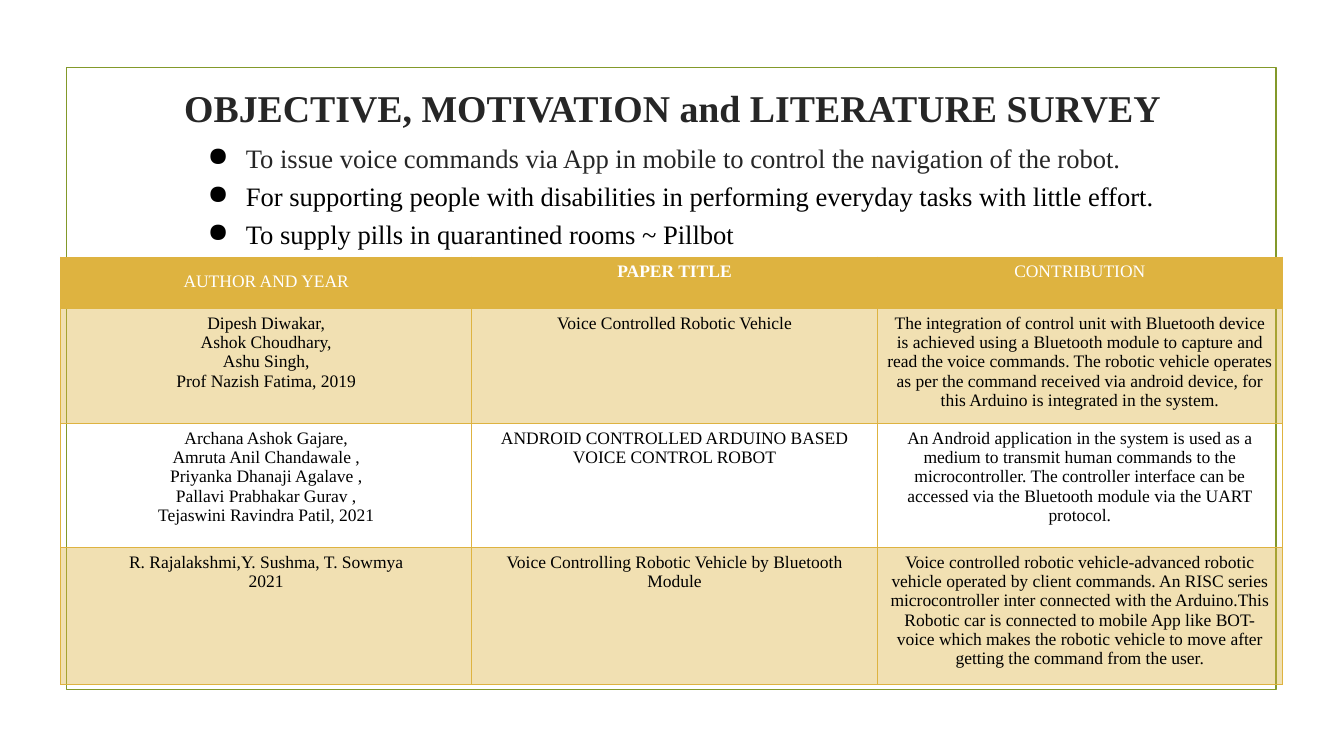
from lxml import etree
from pptx import Presentation
from pptx.dml.color import RGBColor
from pptx.enum.shapes import MSO_SHAPE
from pptx.enum.text import MSO_ANCHOR, MSO_AUTO_SIZE, PP_ALIGN
from pptx.oxml.ns import qn
from pptx.util import Pt

PX = 9144
FONT = "Times New Roman"
GREEN = RGBColor(0x83, 0x99, 0x2A)
GOLD = RGBColor(0xDE, 0xB3, 0x40)
DARK = RGBColor(0x26, 0x26, 0x26)
BLACK = RGBColor(0, 0, 0)
WHITE = RGBColor(255, 255, 255)
RECT = MSO_SHAPE.RECTANGLE
MIDDLE = MSO_ANCHOR.MIDDLE
FIXED = MSO_AUTO_SIZE.NONE
CENTER = PP_ALIGN.CENTER
JUSTIFY = PP_ALIGN.JUSTIFY

TITLE = "OBJECTIVE, MOTIVATION and LITERATURE SURVEY"
GOALS = [
    ("To issue voice commands via App in mobile to control the navigation of the robot.", DARK),
    ("For supporting people with disabilities in performing everyday tasks with little effort.", BLACK),
    ("To supply pills in quarantined rooms ~ Pillbot", BLACK),
]
COLS = [408, 402, 402]
ROWS = [51, 114, 123, 136]
PAPERS = [
    ["AUTHOR AND YEAR", "PAPER TITLE", "CONTRIBUTION"],
    [
        "Dipesh Diwakar,\nAshok Choudhary,\nAshu Singh,\nProf Nazish Fatima, 2019",
        "Voice Controlled Robotic Vehicle",
        "The integration of control unit with Bluetooth device is achieved using a "
        "Bluetooth module to capture and read the voice commands. The robotic vehicle "
        "operates as per the command received via android device, for this Arduino is "
        "integrated in the system.",
    ],
    [
        "Archana Ashok Gajare,\nAmruta Anil Chandawale ,\nPriyanka Dhanaji Agalave ,\n"
        "Pallavi Prabhakar Gurav ,\nTejaswini Ravindra Patil, 2021",
        "ANDROID CONTROLLED ARDUINO BASED VOICE CONTROL ROBOT",
        "An Android application in the system is used as a medium to transmit human "
        "commands to the microcontroller. The controller interface can be accessed via "
        "the Bluetooth module via the UART protocol.",
    ],
    [
        "R. Rajalakshmi,Y. Sushma, T. Sowmya\n2021",
        "Voice Controlling Robotic Vehicle by Bluetooth Module",
        "Voice controlled robotic vehicle-advanced robotic vehicle operated by client "
        "commands. An RISC series microcontroller inter connected with the Arduino.This "
        "Robotic car is connected to mobile App like BOT-voice which makes the robotic "
        "vehicle to move after getting the command from the user.",
    ],
]


def box(*sides):
    return [side * PX for side in sides]


def style(para, size, color, bold=False, align=CENTER):
    para.alignment = align
    for run in para.runs:
        font = run.font
        font.name = FONT
        font.size = Pt(size)
        font.bold = bold
        font.color.rgb = color


def add_frame(slide):
    frame = slide.shapes.add_shape(RECT, *box(66, 67, 1200, 617))
    frame.shadow.inherit = False
    frame.fill.background()
    frame.line.color.rgb = GREEN
    frame.line.width = Pt(1.25)


def add_title(slide):
    title = slide.shapes.title
    title.left, title.top, title.width, title.height = box(142, 79, 1050, 56)
    text = title.text_frame
    text.text = TITLE
    text.auto_size = FIXED
    text.vertical_anchor = MIDDLE
    style(text.paragraphs[0], 27, DARK, True)


def add_bullet(para):
    props = para._p.get_or_add_pPr()
    props.set("marL", str(100 * PX))
    props.set("indent", str(-38 * PX))
    tint = etree.SubElement(props, qn("a:buClr"))
    etree.SubElement(tint, qn("a:srgbClr"), val=str(BLACK))
    etree.SubElement(props, qn("a:buChar"), char="●")


def add_goals(slide):
    text = slide.shapes.add_textbox(*box(134, 136, 1199, 118)).text_frame
    text.word_wrap = True
    text.text = "\n".join(goal for goal, color in GOALS)
    for i, (para, (goal, color)) in enumerate(zip(text.paragraphs, GOALS)):
        add_bullet(para)
        style(para, 19, color, align=JUSTIFY)
        if i:
            para.line_spacing = 1.15
            para.space_before = Pt(1)


def add_edges(cell):
    props = cell._tc.get_or_add_tcPr()
    for i, side in enumerate(("lnL", "lnR", "lnT", "lnB")):
        edge = etree.Element(qn("a:" + side), w=str(Pt(0.75)))
        fill = etree.SubElement(edge, qn("a:solidFill"))
        etree.SubElement(fill, qn("a:srgbClr"), val=str(GOLD))
        props.insert(i, edge)


def paint(cell, row):
    if row == 2:
        cell.fill.background()
    else:
        cell.fill.solid()
        cell.fill.fore_color.rgb = GOLD
        if row:
            tint = cell._tc.tcPr.find(".//" + qn("a:srgbClr"))
            etree.SubElement(tint, qn("a:alpha"), val="40000")
    add_edges(cell)


def add_papers(slide):
    shape = slide.shapes.add_table(
        len(ROWS), len(COLS), *box(60, 255, sum(COLS), sum(ROWS)))
    table = shape.table
    table.first_row = False
    table.horz_banding = False
    for col, width in zip(table.columns, COLS):
        col.width = width * PX
    for r, (row, high) in enumerate(zip(table.rows, ROWS)):
        row.height = high * PX
        for c, cell in enumerate(row.cells):
            cell.text_frame.text = PAPERS[r][c]
            paint(cell, r)
            for para in cell.text_frame.paragraphs:
                style(para, 12.5, BLACK if r else WHITE, (r, c) == (0, 1))
    table.cell(0, 0).text_frame.paragraphs[0].line_spacing = 1.5


def main():
    deck = Presentation()
    deck.slide_width, deck.slide_height = box(1333, 750)
    slide = deck.slides.add_slide(deck.slide_layouts[5])
    add_frame(slide)
    add_title(slide)
    add_goals(slide)
    add_papers(slide)
    deck.save("out.pptx")


if __name__ == "__main__":
    main()
